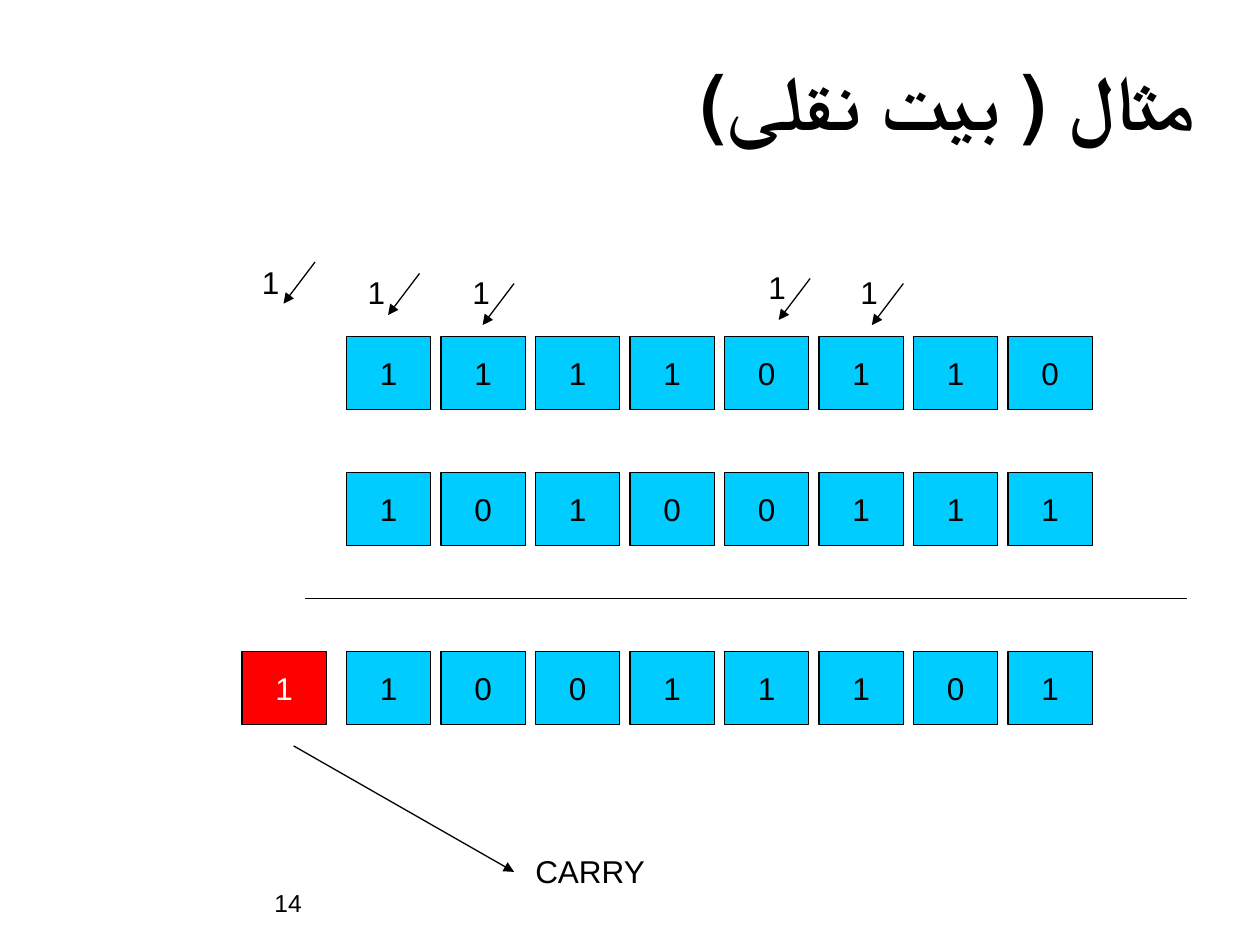
from dataclasses import dataclass

from lxml import etree
from pptx import Presentation
from pptx.dml.color import RGBColor
from pptx.enum.shapes import MSO_CONNECTOR, MSO_SHAPE
from pptx.enum.text import MSO_ANCHOR, MSO_AUTO_SIZE, PP_ALIGN
from pptx.oxml.ns import qn
from pptx.util import Inches, Pt


@dataclass(frozen=True)
class Theme:
    font: str = "Arial"
    ink: RGBColor = RGBColor(0x00, 0x00, 0x00)
    light: RGBColor = RGBColor(0xFF, 0xFF, 0xFF)
    bit: RGBColor = RGBColor(0x00, 0xCC, 0xFF)
    carry: RGBColor = RGBColor(0xFF, 0x00, 0x00)
    title_size: int = 44
    body_size: int = 18
    number_size: int = 14
    line_width: float = 0.75


class SlideBuilder:
    """Holds the theme and the slide being drawn."""

    def __init__(self, slide, theme):
        self.slide = slide
        self.theme = theme

    def format_text(self, paragraph, size, color, bold=False):
        for run in paragraph.runs:
            run.font.name = self.theme.font
            run.font.size = Pt(size)
            run.font.bold = bold
            run.font.color.rgb = color

    def title(self, text, left, top, width, height):
        shape = self.slide.shapes.title
        shape.left, shape.top = Inches(left), Inches(top)
        shape.width, shape.height = Inches(width), Inches(height)
        text_frame = shape.text_frame
        text_frame.text = text
        text_frame.auto_size = MSO_AUTO_SIZE.NONE
        text_frame.vertical_anchor = MSO_ANCHOR.MIDDLE
        paragraph = text_frame.paragraphs[0]
        paragraph.alignment = PP_ALIGN.RIGHT
        paragraph._p.get_or_add_pPr().set("rtl", "1")
        self.format_text(paragraph, self.theme.title_size, self.theme.ink, bold=True)

    def label(self, text, left, top, width, height=0.4, size=None, wrap=False):
        shape = self.slide.shapes.add_textbox(
            Inches(left), Inches(top), Inches(width), Inches(height))
        text_frame = shape.text_frame
        text_frame.text = text
        text_frame.word_wrap = wrap
        if not wrap:
            text_frame.auto_size = MSO_AUTO_SIZE.SHAPE_TO_FIT_TEXT
        self.format_text(text_frame.paragraphs[0], size or self.theme.body_size,
                         self.theme.ink)

    def bit_box(self, digit, left, top, fill, color):
        shape = self.slide.shapes.add_shape(
            MSO_SHAPE.RECTANGLE, Inches(left), Inches(top), Inches(0.67), Inches(0.58))
        shape.shadow.inherit = False
        shape.fill.solid()
        shape.fill.fore_color.rgb = fill
        shape.line.color.rgb = self.theme.ink
        shape.line.width = Pt(self.theme.line_width)
        text_frame = shape.text_frame
        text_frame.text = digit
        text_frame.word_wrap = False
        text_frame.vertical_anchor = MSO_ANCHOR.MIDDLE
        paragraph = text_frame.paragraphs[0]
        paragraph.alignment = PP_ALIGN.CENTER
        self.format_text(paragraph, self.theme.body_size, color)

    def bit_row(self, digits, top, left=2.75, pitch=0.75):
        for column, digit in enumerate(digits):
            self.bit_box(digit, left + column * pitch, top,
                         self.theme.bit, self.theme.ink)

    def line(self, start, end, arrow=False):
        connector = self.slide.shapes.add_connector(
            MSO_CONNECTOR.STRAIGHT, *(Inches(value) for value in (*start, *end)))
        connector.line.color.rgb = self.theme.ink
        connector.line.width = Pt(self.theme.line_width)
        if arrow:
            outline = connector.line._get_or_add_ln()
            etree.SubElement(outline, qn("a:tailEnd"), type="triangle")
        etree.SubElement(connector._element.spPr, qn("a:effectLst"))

    def carry_mark(self, label_left, label_top, arrow_left, arrow_top):
        self.label("1", label_left, label_top, 0.34)
        self.line((arrow_left + 0.25, arrow_top),
                  (arrow_left, arrow_top + 0.33), arrow=True)


def main():
    presentation = Presentation()
    presentation.slide_width, presentation.slide_height = Inches(10), Inches(7.5)
    slide = presentation.slides.add_slide(presentation.slide_layouts[5])
    theme = Theme()
    builder = SlideBuilder(slide, theme)

    # Title and slide number
    builder.title("مثال ( بیت نقلی)", 1.92, 0.33, 7.67, 0.92)
    builder.label("14", 2.08, 7, 1.5, 0.5, size=theme.number_size, wrap=True)

    # Two addends, the rule and their sum
    for digits, top in (("11110110", 2.67), ("10100111", 3.75), ("10011101", 5.17)):
        builder.bit_row(digits, top)
    builder.line((2.42, 4.75), (9.42, 4.75))

    # Carries above the columns: label left and top, arrow left and top
    for mark in ((6.73, 2.12, 6.92, 2.25), (6, 2.08, 6.18, 2.21),
                 (3.65, 2.12, 3.83, 2.25), (2.82, 2.12, 3.08, 2.17),
                 (1.98, 2.04, 2.25, 2.08)):
        builder.carry_mark(*mark)

    # Final carry bit with its caption
    builder.bit_box("1", 1.92, 5.17, theme.carry, theme.light)
    builder.line((2.33, 5.92), (4.08, 6.92), arrow=True)
    builder.label("CARRY", 4.15, 6.71, 1.07)

    presentation.save("out.pptx")


if __name__ == "__main__":
    main()
